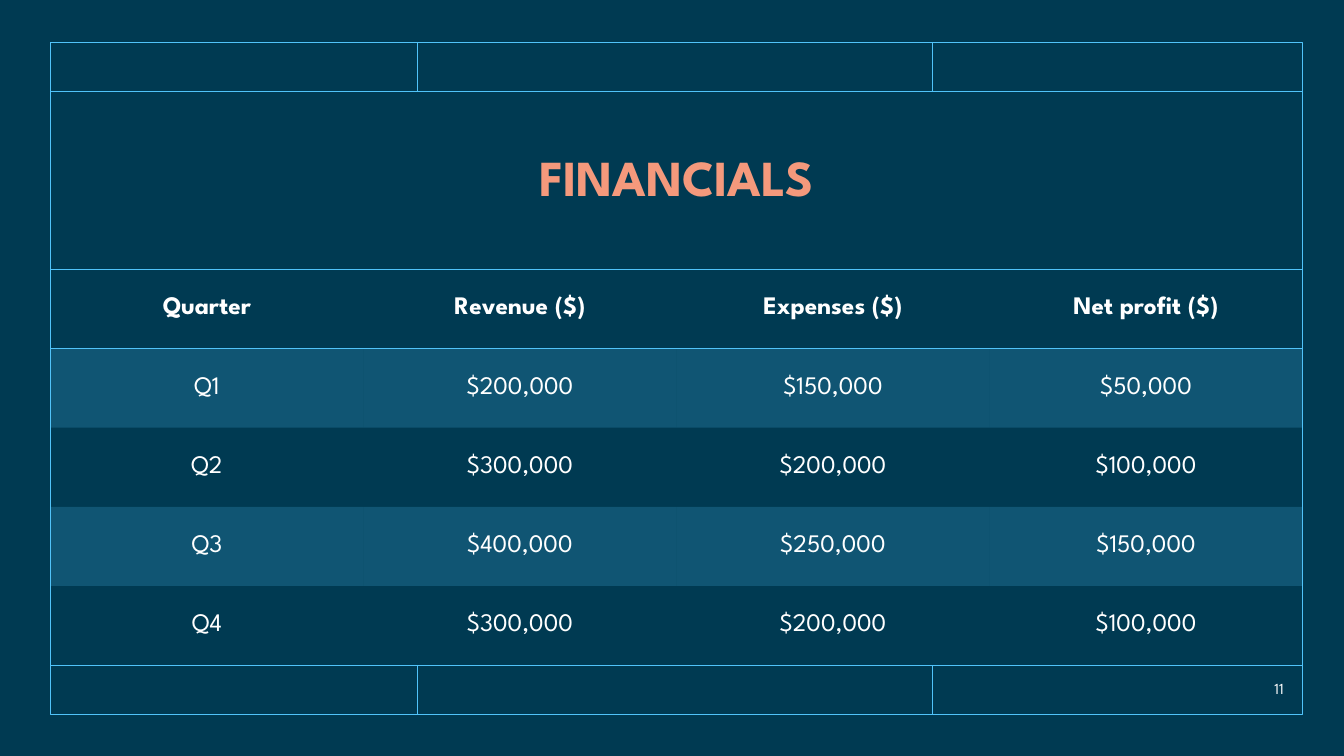
from dataclasses import dataclass

from lxml import etree
from pptx import Presentation
from pptx.dml.color import RGBColor
from pptx.enum.shapes import MSO_CONNECTOR, MSO_SHAPE
from pptx.enum.text import MSO_ANCHOR, PP_ALIGN
from pptx.oxml.ns import qn
from pptx.util import Inches, Pt

NAVY = RGBColor(0x00, 0x3A, 0x52)
SKY = RGBColor(0x51, 0xC3, 0xF9)
CORAL = RGBColor(0xF4, 0x99, 0x7C)
WHITE = RGBColor(0xFF, 0xFF, 0xFF)

STRAIGHT = MSO_CONNECTOR.STRAIGHT
RECTANGLE = MSO_SHAPE.RECTANGLE
MIDDLE = MSO_ANCHOR.MIDDLE
CENTER, RIGHT = PP_ALIGN.CENTER, PP_ALIGN.RIGHT

FONT = "League Spartan"
LINE_WIDTH = Pt(1)
BAND_ALPHA = 20000
NO_STYLE = "{2D5ABB26-0587-4C30-8999-92F81FD0307C}"
TITLE_ONLY = 5

BAND = 0.49
TITLE_HEIGHT = 1.76
DIVIDER_SHARES = (0.293, 0.7045)

FINANCIALS = (
    ("Quarter", "Revenue ($)", "Expenses ($)", "Net profit ($)"),
    ("Q1", "$200,000", "$150,000", "$50,000"),
    ("Q2", "$300,000", "$200,000", "$100,000"),
    ("Q3", "$400,000", "$250,000", "$150,000"),
    ("Q4", "$300,000", "$200,000", "$100,000"),
)


@dataclass
class Box:
    """A rectangle in inches."""
    left: float
    top: float
    width: float
    height: float

    @property
    def right(self):
        return self.left + self.width

    @property
    def bottom(self):
        return self.top + self.height

    def lengths(self):
        return [Inches(n) for n in (self.left, self.top, self.width, self.height)]


FRAME = Box(0.5, 0.42, 12.42, 6.67)


def write(frame, text, size, color, align=CENTER, bold=False):
    """Put one formatted paragraph in a text frame and return it."""
    para = frame.paragraphs[0]
    para.alignment = align
    span = para.add_run()
    span.text = text
    for name, value in {"name": FONT, "size": Pt(size), "bold": bold}.items():
        setattr(span.font, name, value)
    span.font.color.rgb = color
    return para


def add_rule(page, left, top, right, bottom):
    ends = [Inches(n) for n in (left, top, right, bottom)]
    rule = page.shapes.add_connector(STRAIGHT, *ends)
    rule.line.color.rgb = SKY
    rule.line.width = LINE_WIDTH
    etree.SubElement(rule._element.spPr, qn("a:effectLst"))


def add_frame(page, box):
    """Outline with a three-part band along its top and its bottom."""
    outline = page.shapes.add_shape(RECTANGLE, *box.lengths())
    outline.shadow.inherit = False
    outline.fill.background()
    outline.line.color.rgb = SKY
    outline.line.width = LINE_WIDTH
    for edge, inner in ((box.top, box.top + BAND), (box.bottom, box.bottom - BAND)):
        add_rule(page, box.left, inner, box.right, inner)
        for share in DIVIDER_SHARES:
            middle = box.left + share * box.width
            add_rule(page, middle, inner, middle, edge)


def add_title(page, box, text):
    title = page.shapes.title
    title.left, title.top, title.width, title.height = box.lengths()
    title.text_frame.vertical_anchor = MIDDLE
    para = write(title.text_frame, text, 36, CORAL, bold=True)
    para.line_spacing = 0.9
    para.runs[0].font._element.set("spc", "-20")


def add_border(cell, side):
    """Draw one cell border; call before the cell is filled."""
    properties = cell._tc.get_or_add_tcPr()
    border = etree.SubElement(properties, qn(f"a:{side}"), w=str(LINE_WIDTH))
    fill = etree.SubElement(border, qn("a:solidFill"))
    etree.SubElement(fill, qn("a:srgbClr"), val=str(SKY))


def fill_band(cell):
    cell.fill.solid()
    cell.fill.fore_color.rgb = SKY
    color = cell._tc.tcPr.find(qn("a:solidFill"))[0]
    etree.SubElement(color, qn("a:alpha"), val=str(BAND_ALPHA))


def add_financial_table(page, box, rows):
    table = page.shapes.add_table(len(rows), len(rows[0]), *box.lengths()).table
    table._tbl.tblPr.find(qn("a:tableStyleId")).text = NO_STYLE
    last = len(rows) - 1
    for number, values in enumerate(rows):
        sides = {0: ("lnT", "lnB"), last: ("lnB",)}.get(number, ())
        for column, value in enumerate(values):
            cell = table.cell(number, column)
            cell.vertical_anchor = MIDDLE
            write(cell.text_frame, value, 18, WHITE, bold=number == 0)
            for side in sides:
                add_border(cell, side)
            if number % 2:
                fill_band(cell)
            else:
                cell.fill.background()


def add_page_number(page, box, number):
    frame = page.shapes.add_textbox(*box.lengths()).text_frame
    frame.word_wrap = True
    frame.vertical_anchor = MIDDLE
    write(frame, number, 11, WHITE, RIGHT)


def build_financials_page(deck, box):
    page = deck.slides.add_slide(deck.slide_layouts[TITLE_ONLY])
    page.background.fill.solid()
    page.background.fill.fore_color.rgb = NAVY
    title_box = Box(box.left, box.top + BAND, box.width, TITLE_HEIGHT)
    table_height = box.bottom - BAND - title_box.bottom
    table_box = Box(box.left, title_box.bottom, box.width, table_height)
    number_box = Box(box.right - 1.01, table_box.bottom + 0.08, 0.92, 0.3)
    add_frame(page, box)
    add_title(page, title_box, "FINANCIALS")
    add_financial_table(page, table_box, FINANCIALS)
    add_page_number(page, number_box, "11")


def main():
    deck = Presentation()
    deck.slide_width = Inches(13.33)
    deck.slide_height = Inches(7.5)
    build_financials_page(deck, FRAME)
    deck.save("out.pptx")


if __name__ == "__main__":
    main()
